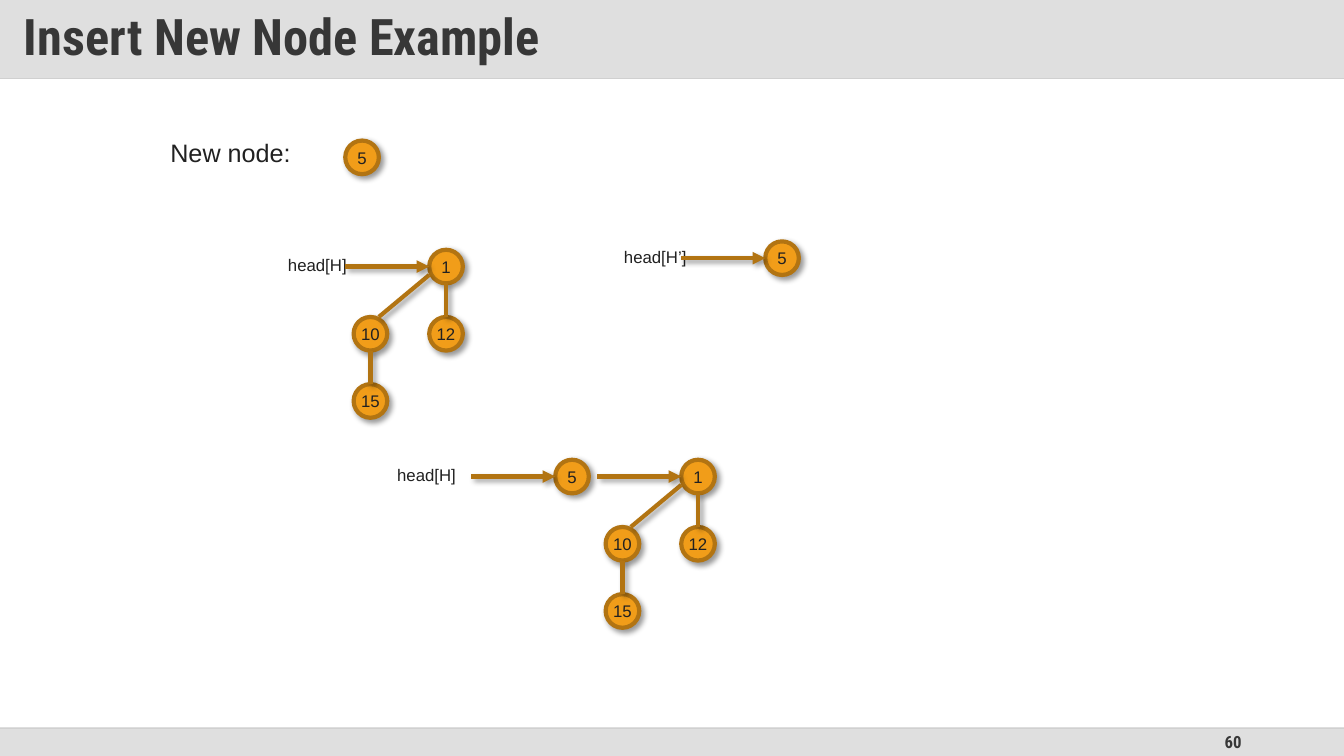
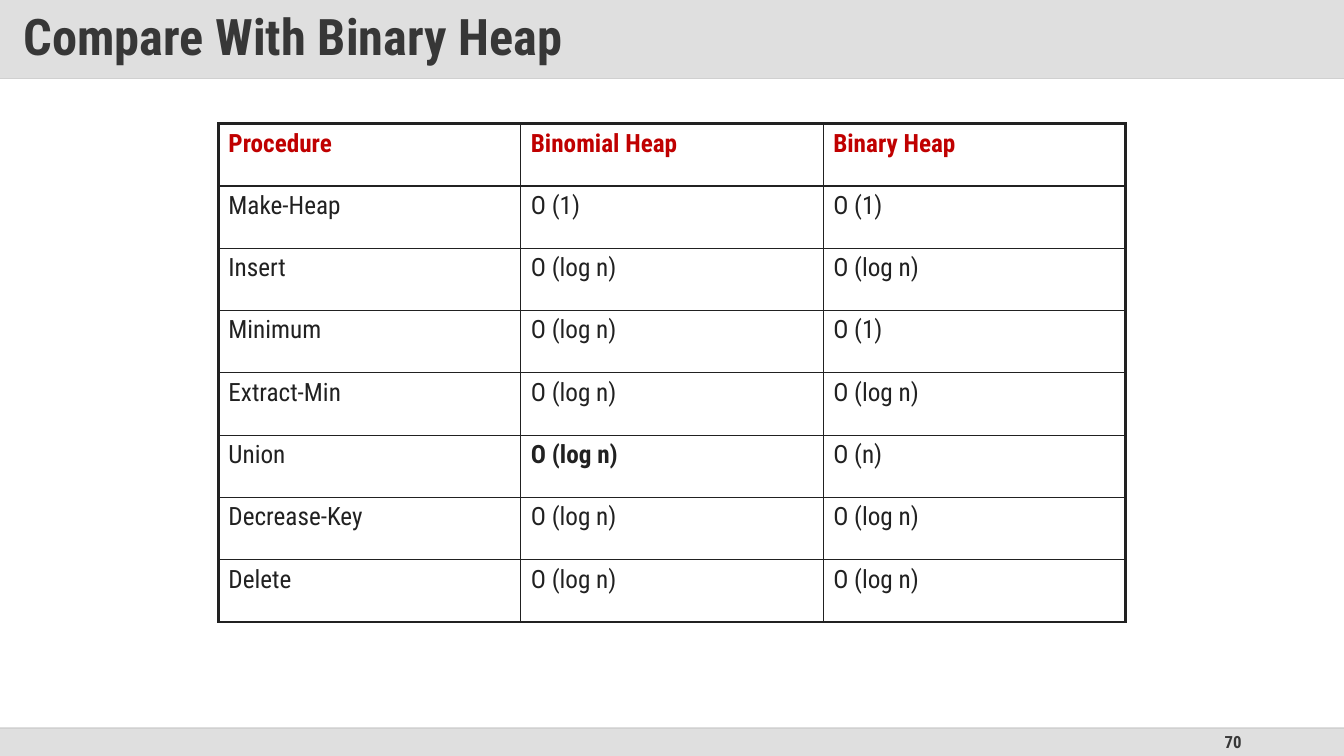
from dataclasses import dataclass

from lxml.etree import SubElement
from pptx import Presentation
from pptx.dml.color import RGBColor
from pptx.enum.shapes import MSO_CONNECTOR, MSO_SHAPE
from pptx.enum.text import MSO_ANCHOR, PP_ALIGN
from pptx.oxml.ns import qn
from pptx.util import Pt


@dataclass(frozen=True)
class Theme:
    heading_font: str = "Roboto Condensed"
    diagram_font: str = "Arial"
    title_size: int = 36
    body_size: int = 18
    small_size: int = 12
    heading: str = "373737"
    ink: str = "212121"
    accent: str = "C00000"
    title_band: str = "C0C0C0"
    footer_band: str = "DFDFDF"
    title_rule: str = "D9D9D9"
    footer_rule: str = "BFBFBF"
    node_fill: str = "F19D19"
    node_line: str = "B27412"
    shadow: str = "000000"


THEME = Theme()
PAGE_WIDTH, PAGE_HEIGHT = 960, 540
TITLE_HEIGHT, FOOTER_HEIGHT = 56.2, 20

# Diagram: positions are node centres
RADIUS = 12
ARROW_LENGTH = 60
LEVEL_GAP, SIBLING_GAP = 48, 54
ATTACH = 6  # where a slanted branch meets a node, off its centre
NEW_NODE = (258.6, 112.4)
NEW_NODE_LABEL = ("New node:", 114.6, 94.4, 102, 28.8)
# key: (column, level) relative to the root
TREE = {"1": (0, 0), "12": (0, 1), "10": (-1, 1), "15": (-1, 2)}
BRANCHES = [("10", "15"), ("1", "12"), ("1", "10")]
TREE_ROOTS = [(318.6, 190.4), (498.6, 340.4)]
SINGLE_NODES = [("5", 558.6, 184.4), ("5", 408.6, 340.4)]
# text, centre of the node pointed at, distance from label to that centre
HEAD_LABELS = [
    ("head[H]", (318.6, 190.4), 120),
    ("head[H’]", (558.6, 184.4), 120),
    ("head[H]", (408.6, 340.4), 132),
]
ARROW_TARGETS = [(318.6, 190.4), (558.6, 184.4), (408.6, 340.4), (498.6, 340.4)]

COMPARISON = [
    ("Procedure", "Binomial Heap", "Binary Heap"),
    ("Make-Heap", "O (1)", "O (1)"),
    ("Insert", "O (log n)", "O (log n)"),
    ("Minimum", "O (log n)", "O (1)"),
    ("Extract-Min", "O (log n)", "O (log n)"),
    ("Union", "O (log n)", "O (n)"),
    ("Decrease-Key", "O (log n)", "O (log n)"),
    ("Delete", "O (log n)", "O (log n)"),
]
BOLD_CELL = (5, 1)
TABLE_LEFT, TABLE_TOP = 156, 88.4
COLUMN_WIDTH, ROW_HEIGHT = 216, 44.5
OUTER_BORDER, INNER_BORDER = 2.25, 1


def color(value):
    return RGBColor.from_string(value)


def set_opacity(shape, percent):
    """Apply opacity to the first solid colour of a shape or line."""
    solid = shape._element.spPr.find(".//" + qn("a:srgbClr"))
    SubElement(solid, qn("a:alpha"), val=str(percent * 1000))


def add_effects(shape, shadow):
    """Replace the inherited effects; call once the line is set."""
    effects = SubElement(shape._element.spPr, qn("a:effectLst"))
    if shadow:
        outer = SubElement(effects, qn("a:outerShdw"), blurRad=str(Pt(4)),
                           dist=str(Pt(3)), dir=str(45 * 60000),
                           algn="tl", rotWithShape="0")
        solid = SubElement(outer, qn("a:srgbClr"), val=THEME.shadow)
        SubElement(solid, qn("a:alpha"), val="40000")


def write(frame, text, font, size, ink, bold=False, align=PP_ALIGN.LEFT):
    para = frame.paragraphs[0]
    para.text = text
    para.alignment = align
    para.font.name = font
    para.font.size = Pt(size)
    para.font.bold = bold
    para.font.color.rgb = color(ink)
    return para


def add_text(page, text, left, top, width, height, font, size, ink, **style):
    box = page.shapes.add_textbox(Pt(left), Pt(top), Pt(width), Pt(height))
    box.text_frame.word_wrap = True
    write(box.text_frame, text, font, size, ink, **style)
    return box


def add_line(page, start, end, ink, width, shadow=False, arrow=False):
    line = page.shapes.add_connector(
        MSO_CONNECTOR.STRAIGHT, *(Pt(value) for value in (*start, *end)))
    line.line.color.rgb = color(ink)
    line.line.width = Pt(width)
    if arrow:
        SubElement(line._element.spPr.find(qn("a:ln")), qn("a:tailEnd"),
                   type="triangle")
    add_effects(line, shadow)
    return line


def add_band(page, top, height, fill):
    band = page.shapes.add_shape(MSO_SHAPE.RECTANGLE, 0, Pt(top),
                                 Pt(PAGE_WIDTH), Pt(height))
    band.fill.solid()
    band.fill.fore_color.rgb = color(fill)
    band.line.fill.background()
    band.shadow.inherit = False
    return band


def add_page(deck, title, number):
    """Add a page with the shared title band, rules and footer."""
    page = deck.slides.add_slide(deck.slide_layouts[6])
    footer_top = PAGE_HEIGHT - FOOTER_HEIGHT
    add_band(page, footer_top, FOOTER_HEIGHT, THEME.footer_band)
    number_box = add_text(page, number, 678, footer_top, 216, FOOTER_HEIGHT,
                          THEME.heading_font, THEME.small_size, THEME.heading,
                          bold=True, align=PP_ALIGN.RIGHT)
    number_box.text_frame.vertical_anchor = MSO_ANCHOR.MIDDLE
    add_line(page, (0, TITLE_HEIGHT), (PAGE_WIDTH, TITLE_HEIGHT),
             THEME.title_rule, 1)
    footer_rule = add_line(page, (0, footer_top), (PAGE_WIDTH, footer_top),
                           THEME.footer_rule, 1)
    set_opacity(footer_rule, 70)

    band = add_band(page, 0, TITLE_HEIGHT, THEME.title_band)
    set_opacity(band, 50)
    frame = band.text_frame
    frame.word_wrap = True
    frame.vertical_anchor = MSO_ANCHOR.MIDDLE
    frame.margin_left = frame.margin_right = Pt(17)
    frame.margin_top = frame.margin_bottom = Pt(8.5)
    para = write(frame, title, THEME.heading_font, THEME.title_size,
                 THEME.heading, bold=True)
    para.line_spacing = 0.9
    return page


def add_node(page, key, x, y):
    node = page.shapes.add_shape(MSO_SHAPE.OVAL, Pt(x - RADIUS), Pt(y - RADIUS),
                                 Pt(2 * RADIUS), Pt(2 * RADIUS))
    node.fill.solid()
    node.fill.fore_color.rgb = color(THEME.node_fill)
    node.line.color.rgb = color(THEME.node_line)
    node.line.width = Pt(3)
    add_effects(node, shadow=True)
    node.text_frame.word_wrap = False
    node.text_frame.vertical_anchor = MSO_ANCHOR.MIDDLE
    write(node.text_frame, key, THEME.diagram_font, THEME.small_size,
          THEME.ink, align=PP_ALIGN.CENTER)


def add_link(page, start, end, arrow=False):
    add_line(page, start, end, THEME.node_line, 3, shadow=True, arrow=arrow)


def add_tree(page, root_x, root_y):
    centres = {key: (root_x + column * SIBLING_GAP, root_y + level * LEVEL_GAP)
               for key, (column, level) in TREE.items()}
    for key, centre in centres.items():
        add_node(page, key, *centre)
    for parent, child in BRANCHES:
        (parent_x, parent_y), (child_x, child_y) = centres[parent], centres[child]
        if parent_x == child_x:
            start = (parent_x, parent_y + RADIUS)
            end = (child_x, child_y - RADIUS)
        else:
            start = (parent_x - RADIUS, parent_y + ATTACH)
            end = (child_x + ATTACH, child_y - RADIUS)
        add_link(page, start, end)


def build_insert_page(deck):
    page = add_page(deck, "Insert New Node Example", "60")
    add_text(page, *NEW_NODE_LABEL, THEME.diagram_font, THEME.body_size, THEME.ink)
    add_node(page, "5", *NEW_NODE)
    for root in TREE_ROOTS:
        add_tree(page, *root)
    for node in SINGLE_NODES:
        add_node(page, *node)
    for text, (x, y), distance in HEAD_LABELS:
        add_text(page, text, x - distance, y - RADIUS, 60, 21.6,
                 THEME.diagram_font, THEME.small_size, THEME.ink)
    for x, y in ARROW_TARGETS:
        tip = x - RADIUS
        add_link(page, (tip - ARROW_LENGTH, y), (tip, y), arrow=True)


def add_borders(cell, outer_edges):
    """Draw all four edges, with the heavy width on those in outer_edges."""
    properties = cell._tc.get_or_add_tcPr()
    for edge in "LRTB":
        width = OUTER_BORDER if edge in outer_edges else INNER_BORDER
        line = SubElement(properties, qn("a:ln" + edge), w=str(Pt(width)))
        fill = SubElement(line, qn("a:solidFill"))
        SubElement(fill, qn("a:srgbClr"), val=THEME.ink)


def build_comparison_page(deck):
    page = add_page(deck, "Compare With Binary Heap", "70")
    row_count, column_count = len(COMPARISON), len(COMPARISON[0])
    table = page.shapes.add_table(
        row_count, column_count, Pt(TABLE_LEFT), Pt(TABLE_TOP),
        Pt(column_count * COLUMN_WIDTH), Pt(row_count * ROW_HEIGHT)).table
    table.first_row = table.horz_banding = False
    for column in table.columns:
        column.width = Pt(COLUMN_WIDTH)
    for row_index, texts in enumerate(COMPARISON):
        table.rows[row_index].height = Pt(ROW_HEIGHT)
        is_header = row_index == 0
        for column_index, text in enumerate(texts):
            cell = table.cell(row_index, column_index)
            edges = {"L": column_index == 0, "R": column_index == column_count - 1,
                     "T": is_header, "B": row_index == row_count - 1}
            add_borders(cell, [edge for edge, outer in edges.items() if outer])
            cell.fill.background()
            write(cell.text_frame, text, THEME.heading_font, THEME.body_size,
                  THEME.accent if is_header else THEME.ink,
                  bold=is_header or (row_index, column_index) == BOLD_CELL)


def main():
    deck = Presentation()
    deck.slide_width, deck.slide_height = Pt(PAGE_WIDTH), Pt(PAGE_HEIGHT)
    build_insert_page(deck)
    build_comparison_page(deck)
    deck.save("out.pptx")


if __name__ == "__main__":
    main()
